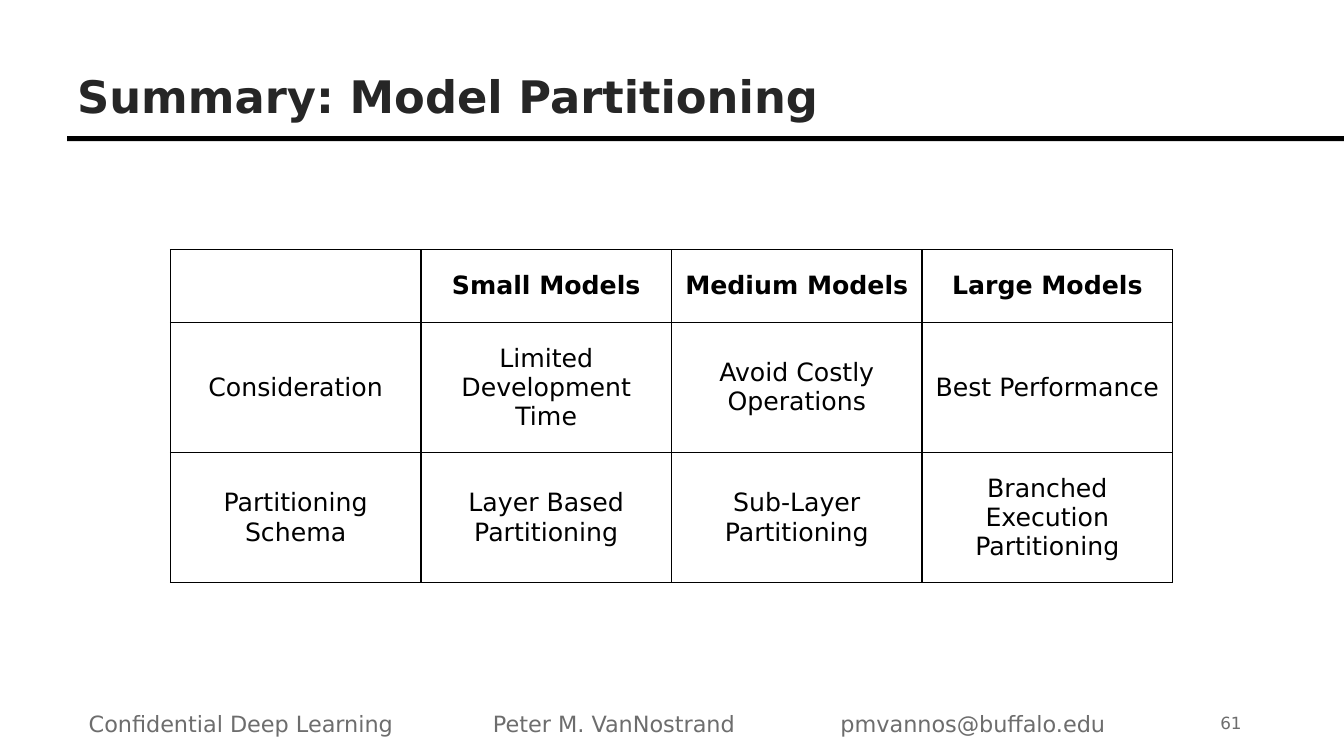
from pptx import Presentation
from pptx.dml.color import RGBColor
from pptx.enum.shapes import MSO_SHAPE
from pptx.enum.text import MSO_ANCHOR, PP_ALIGN
from pptx.oxml import parse_xml
from pptx.oxml.ns import nsdecls
from pptx.util import Pt

RECTANGLE = MSO_SHAPE.RECTANGLE
TOP, MIDDLE, BOTTOM = MSO_ANCHOR.TOP, MSO_ANCHOR.MIDDLE, MSO_ANCHOR.BOTTOM
LEFT, CENTER = PP_ALIGN.LEFT, PP_ALIGN.CENTER

FONT = "DejaVu Sans"
COLORS = {"ink": "000000", "title": "262626", "footer": "6D6D6D"}
SLIDE_WIDTH, SLIDE_HEIGHT = 960, 540

MODELS = [
    ["", "Small Models", "Medium Models", "Large Models"],
    ["Consideration", "Limited Development Time", "Avoid Costly Operations",
     "Best Performance"],
    ["Partitioning Schema", "Layer Based Partitioning",
     "Sub-Layer Partitioning", "Branched Execution Partitioning"],
]
ROW_HEIGHTS = [52, 93, 93]

# text, left offset, top offset, width, size, alignment, anchor, wrap
FOOTER = [
    ("Confidential Deep Learning", 0, 0, 232, 16, LEFT, TOP, True),
    ("Peter M. VanNostrand", 288.7, -0.5, 192, 16, LEFT, TOP, True),
    ("pmvannos@buffalo.edu", 537, 0, 205, 16, LEFT, TOP, False),
    ("61", 799, 0, 48, 12, CENTER, MIDDLE, True),
]


def write(frame, text, size, color, bold=False, align=LEFT):
    paragraph = frame.paragraphs[0]
    paragraph.alignment = align
    run = paragraph.add_run()
    run.text = text
    for name, value in {"name": FONT, "size": Pt(size), "bold": bold}.items():
        setattr(run.font, name, value)
    run.font.color.rgb = RGBColor.from_string(COLORS[color])


def add_text(slide, box, text, size, color, bold=False, align=LEFT,
             anchor=TOP, wrap=True):
    frame = slide.shapes.add_textbox(*map(Pt, box)).text_frame
    frame.word_wrap = wrap
    frame.vertical_anchor = anchor
    write(frame, text, size, color, bold, align)


def add_heading(slide, left, top, width, height):
    """Place the title with a rule below it that runs to the slide's edge."""
    add_text(slide, (left, top, width, height), "Summary: Model Partitioning",
             32, "title", bold=True, anchor=BOTTOM)
    rule = slide.shapes.add_shape(
        RECTANGLE, Pt(left), Pt(top + height + 6.5),
        Pt(SLIDE_WIDTH - left), Pt(3.6))
    rule.shadow.inherit = False
    rule.fill.solid()
    rule.fill.fore_color.rgb = RGBColor.from_string(COLORS["ink"])
    rule.line.fill.background()


def add_borders(cell):
    properties = cell._tc.get_or_add_tcPr()
    for index, side in enumerate(("lnL", "lnR", "lnT", "lnB")):
        properties.insert(index, parse_xml(
            f'<a:{side} {nsdecls("a")} w="{Pt(1)}"><a:solidFill>'
            f'<a:srgbClr val="{COLORS["ink"]}"/></a:solidFill></a:{side}>'))


def add_model_table(slide, left, top, width):
    table = slide.shapes.add_table(
        len(MODELS), len(MODELS[0]), Pt(left), Pt(top), Pt(width),
        Pt(sum(ROW_HEIGHTS))).table
    table.first_row = table.horz_banding = False
    for column in table.columns:
        column.width = Pt(width / len(MODELS[0]))
    for r, (texts, height) in enumerate(zip(MODELS, ROW_HEIGHTS)):
        table.rows[r].height = Pt(height)
        for c, text in enumerate(texts):
            cell = table.cell(r, c)
            cell.fill.background()
            cell.vertical_anchor = MIDDLE
            add_borders(cell)
            if text:
                write(cell.text_frame, text, 18, "ink", r == 0, CENTER)


def add_footer(slide, left, top, height):
    for text, dx, dy, width, size, align, anchor, wrap in FOOTER:
        add_text(slide, (left + dx, top + dy, width, height), text, size,
                 "footer", align=align, anchor=anchor, wrap=wrap)


def main():
    deck = Presentation()
    deck.slide_width, deck.slide_height = Pt(SLIDE_WIDTH), Pt(SLIDE_HEIGHT)
    slide = deck.slides.add_slide(deck.slide_layouts[6])
    add_heading(slide, 48, 27.3, 864, 63.4)
    add_model_table(slide, 121.7, 178.4, 716)
    add_footer(slide, 56.3, 504, 24)
    deck.save("out.pptx")


if __name__ == "__main__":
    main()
